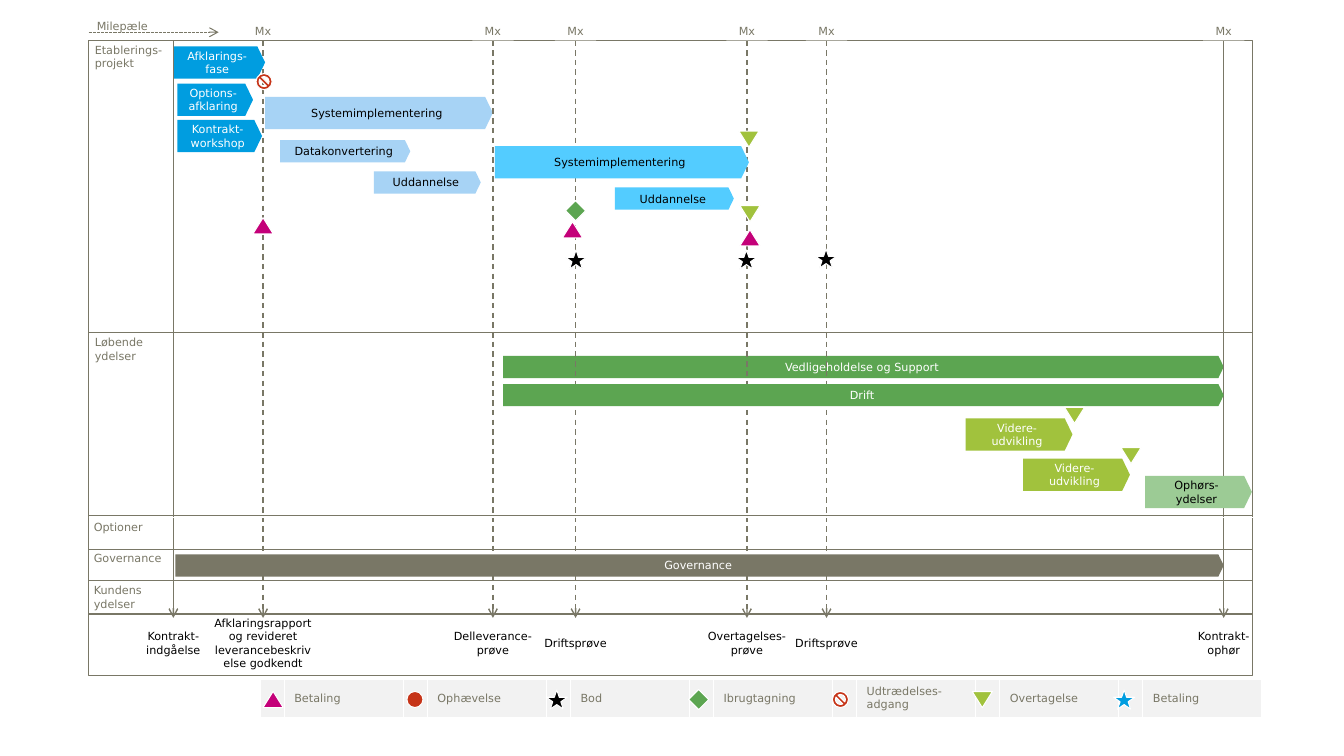
from lxml import etree
from pptx import Presentation
from pptx.dml.color import RGBColor
from pptx.enum.dml import MSO_LINE_DASH_STYLE as Dash
from pptx.enum.shapes import MSO_CONNECTOR, MSO_SHAPE as Preset
from pptx.enum.text import MSO_ANCHOR as Anchor, PP_ALIGN as Align
from pptx.oxml.ns import qn
from pptx.util import Inches, Pt

FONT = "DejaVu Sans"
COLORS = {
    "grey": "797766", "white": "FFFFFF", "black": "000000", "panel": "F2F2F2",
    "blue": "009DE0", "pale_blue": "A7D3F5", "sky": "53CCFF",
    "green": "5CA551", "lime": "A1C23D", "pale_green": "9CCB95",
    "magenta": "C40079", "red": "C63418",
}

# Grid: square cells of a tenth of an inch
SLIDE_COLUMNS, SLIDE_ROWS = 133.33, 75
LEFT, RIGHT, TOP, BOTTOM = 8.8, 124.3, 4, 67
MILESTONE_ROW, ARROW_ROW = 60.9, 61.3
TALL, FLAT = 3.2, 2.2

# Label, column, dash style, "Mx" above
FIRST_MILESTONE = ("Afklaringsrapport og revideret leverancebeskrivelse godkendt",
                   26.1, Dash.DASH, True)
MILESTONES = [
    ("Delleverance-prøve", 48.9, Dash.DASH, True),
    ("Driftsprøve", 57.1, Dash.DASH, True),
    ("Overtagelses-prøve", 74.1, Dash.DASH, True),
    ("Driftsprøve", 82, Dash.DASH, True),
    ("Kontrakt-\nophør", 121.4, None, True),
    ("Kontrakt-indgåelse", 17.2, None, False),
]

# Label, column, row, columns wide, rows high, fill, text colour
BACK_PHASES = [
    ("Afklarings-fase", 17.2, 4.6, 9.1, TALL, "blue", "white"),
    ("Vedligeholdelse og Support", 49.9, 35.3, 71.5, FLAT, "green", "white"),
    ("Systemimplementering", 26.3, 9.6, 22.6, TALL, "pale_blue", "black"),
]
PHASES = [
    ("Options-afklaring", 17.6, 8.3, 7.5, TALL, "blue", "white"),
    ("Kontrakt-workshop", 17.6, 11.9, 8.4, TALL, "blue", "white"),
    ("Datakonvertering", 27.8, 13.9, 12.9, FLAT, "pale_blue", "black"),
    ("Uddannelse", 37.1, 17, 10.6, FLAT, "pale_blue", "black"),
    ("Systemimplementering", 49.1, 14.5, 25.2, TALL, "sky", "black"),
    ("Uddannelse", 61, 18.6, 11.8, FLAT, "sky", "black"),
    ("Drift", 49.9, 38.1, 71.5, FLAT, "green", "white"),
    ("Videre-udvikling", 95.8, 41.5, 10.6, TALL, "lime", "white"),
    ("Videre-udvikling", 101.5, 45.5, 10.6, TALL, "lime", "white"),
    ("Ophørs-ydelser", 113.6, 47.2, 10.6, TALL, "pale_green", "black"),
    ("Governance", 17.4, 55, 104, FLAT, "grey", "white"),
]

ROW_LABELS = [
    ("Milepæle", 9.2, 1.4), ("Etablerings-\nprojekt", 9, 3.8),
    ("Løbende\nydelser", 9, 32.8), ("Optioner", 8.9, 51.1),
    ("Governance", 8.9, 54.2), ("Kundens\nydelser", 8.9, 57.4),
]
# Row, colour, line width
DIVIDERS = [(33, "grey", 0.75), (51.3, "white", 0.75), (51.1, "grey", 0.75),
            (54.5, "grey", 0.75), (57.6, "grey", 0.75), (MILESTONE_ROW, "grey", 1.5)]

# Preset, fill, columns wide, rows high, rotation
SYMBOLS = {
    "payment": (Preset.ISOSCELES_TRIANGLE, "magenta", 2, 1.6, 0),
    "termination": (Preset.OVAL, "red", 1.6, 1.6, 0),
    "penalty": (Preset.STAR_5_POINT, "black", 2.1, 1.9, 0),
    "commissioning": (Preset.DIAMOND, "green", 2, 2, 0),
    "exit": (Preset.NO_SYMBOL, "red", 1.6, 1.6, 0),
    "takeover": (Preset.ISOSCELES_TRIANGLE, "lime", 2, 1.6, 180),
    "blue_star": (Preset.STAR_5_POINT, "blue", 2.1, 1.9, 0),
}
# Symbol and its centres
MARKERS = {
    "exit": [(26.2, 8.1)],
    "takeover": [(74.3, 13.8), (74.4, 21.2), (106.6, 41.2), (112.2, 45.2)],
    "commissioning": [(57.1, 20.9)],
    "payment": [(26.1, 22.4), (56.8, 22.8), (74.4, 23.6)],
    "penalty": [(57.15, 25.75), (74.05, 25.75), (81.95, 25.65)],
}
LEGEND = [
    ("payment", "Betaling"), ("termination", "Ophævelse"), ("penalty", "Bod"),
    ("commissioning", "Ibrugtagning"), ("exit", "Udtrædelses-adgang"),
    ("takeover", "Overtagelse"), ("blue_star", "Betaling"),
]


def cells(*counts):
    return [Inches(count / 10) for count in counts]


def rgb(name):
    return RGBColor.from_string(COLORS[name])


def write(frame, text, color, align=Align.LEFT, anchor=Anchor.MIDDLE):
    frame.word_wrap = True
    frame.vertical_anchor = anchor
    for index, line in enumerate(text.split("\n")):
        paragraph = frame.add_paragraph() if index else frame.paragraphs[0]
        paragraph.alignment = align
        run = paragraph.add_run()
        run.text = line
        run.font.size, run.font.name = Pt(8), FONT
        run.font.color.rgb = rgb(color)


def add_box(slide, preset, area, fill=None, line=None):
    shape = slide.shapes.add_shape(preset, *cells(*area))
    shape.shadow.inherit = False
    if fill:
        shape.fill.solid()
        shape.fill.fore_color.rgb = rgb(fill)
    else:
        shape.fill.background()
    if line:
        shape.line.color.rgb = rgb(line)
        shape.line.width = Pt(0.75)
    else:
        shape.line.fill.background()
    return shape


def add_line(slide, ends, color="grey", width=0.75, dash=None, arrow=False):
    connector = slide.shapes.add_connector(MSO_CONNECTOR.STRAIGHT, *cells(*ends))
    connector.line.color.rgb = rgb(color)
    connector.line.width = Pt(width)
    if dash:
        connector.line.dash_style = dash
    if arrow:
        etree.SubElement(connector.line._get_or_add_ln(), qn("a:tailEnd"), type="arrow")
    etree.SubElement(connector._element.spPr, qn("a:effectLst"))


def add_milestone(slide, label, column, dash, has_mark):
    add_line(slide, (column, TOP, column, ARROW_ROW), width=1, dash=dash, arrow=True)
    text_box = slide.shapes.add_textbox(*cells(column - 5.9, 60.5, 11.8, 6.6))
    write(text_box.text_frame, label, "black", Align.CENTER)
    if has_mark:
        mark = add_box(slide, Preset.RECTANGLE, (column - 2.05, 2.1, 4.1, 1.9), "white")
        write(mark.text_frame, "Mx", "grey", Align.CENTER)


def add_phase(slide, label, column, row, width, height, fill, color):
    phase = add_box(slide, Preset.PENTAGON, (column, row, width, height), fill)
    phase.adjustments[0] = 0.24
    write(phase.text_frame, label, color, Align.CENTER)


def add_row_label(slide, label, column, row):
    frame = slide.shapes.add_textbox(*cells(column, row, 11.8, 5.7)).text_frame
    frame.margin_left = Inches(0.04)
    write(frame, label, "grey", anchor=Anchor.TOP)


def add_symbol(slide, name, column, row):
    preset, fill, width, height, rotation = SYMBOLS[name]
    area = (column - width / 2, row - height / 2, width, height)
    add_box(slide, preset, area, fill, "white").rotation = rotation


def add_legend(slide):
    widths = cells(2.4, 11.8) * len(LEGEND)
    left, top, height = cells(25.8, 67.4, 3.8)
    table = slide.shapes.add_table(1, len(widths), left, top, sum(widths), height).table
    table.first_row = table.horz_banding = False
    for index, width in enumerate(widths):
        table.columns[index].width = width
        cell = table.cell(0, index)
        cell.fill.solid()
        cell.fill.fore_color.rgb = rgb("panel")
        cell.vertical_anchor = Anchor.MIDDLE
        if index % 2:
            write(cell.text_frame, LEGEND[index // 2][1], "grey")
        else:
            cell.text_frame.paragraphs[0].font.size = Pt(8)
        # White cell borders come before the fill
        for position, side in enumerate(("lnL", "lnR", "lnT", "lnB")):
            border = etree.Element(qn(f"a:{side}"), w=str(Pt(1)))
            paint = etree.SubElement(border, qn("a:solidFill"))
            etree.SubElement(paint, qn("a:srgbClr"), val=COLORS["white"])
            cell._tc.get_or_add_tcPr().insert(position, border)
    for index, (name, _) in enumerate(LEGEND):
        add_symbol(slide, name, 27.1 + 14.07 * index, 69.4)


def main():
    presentation = Presentation()
    presentation.slide_width, presentation.slide_height = cells(SLIDE_COLUMNS, SLIDE_ROWS)
    slide = presentation.slides.add_slide(presentation.slide_layouts[6])

    # Frame, with the phases that milestone lines cross
    add_milestone(slide, *FIRST_MILESTONE)
    add_line(slide, (LEFT, 3.2, 21.7, 3.2), dash=Dash.SQUARE_DOT, arrow=True)
    add_box(slide, Preset.RECTANGLE, (LEFT, TOP, RIGHT - LEFT, BOTTOM - TOP), line="grey")
    for phase in BACK_PHASES:
        add_phase(slide, *phase)

    # Milestones and rows
    for milestone in MILESTONES:
        add_milestone(slide, *milestone)
    for row, color, width in DIVIDERS:
        add_line(slide, (LEFT, row, RIGHT, row), color, width)
    for row_label in ROW_LABELS:
        add_row_label(slide, *row_label)

    # Phases, markers and legend
    for phase in PHASES:
        add_phase(slide, *phase)
    for name, centres in MARKERS.items():
        for centre in centres:
            add_symbol(slide, name, *centre)
    add_legend(slide)
    presentation.save("out.pptx")


if __name__ == "__main__":
    main()
